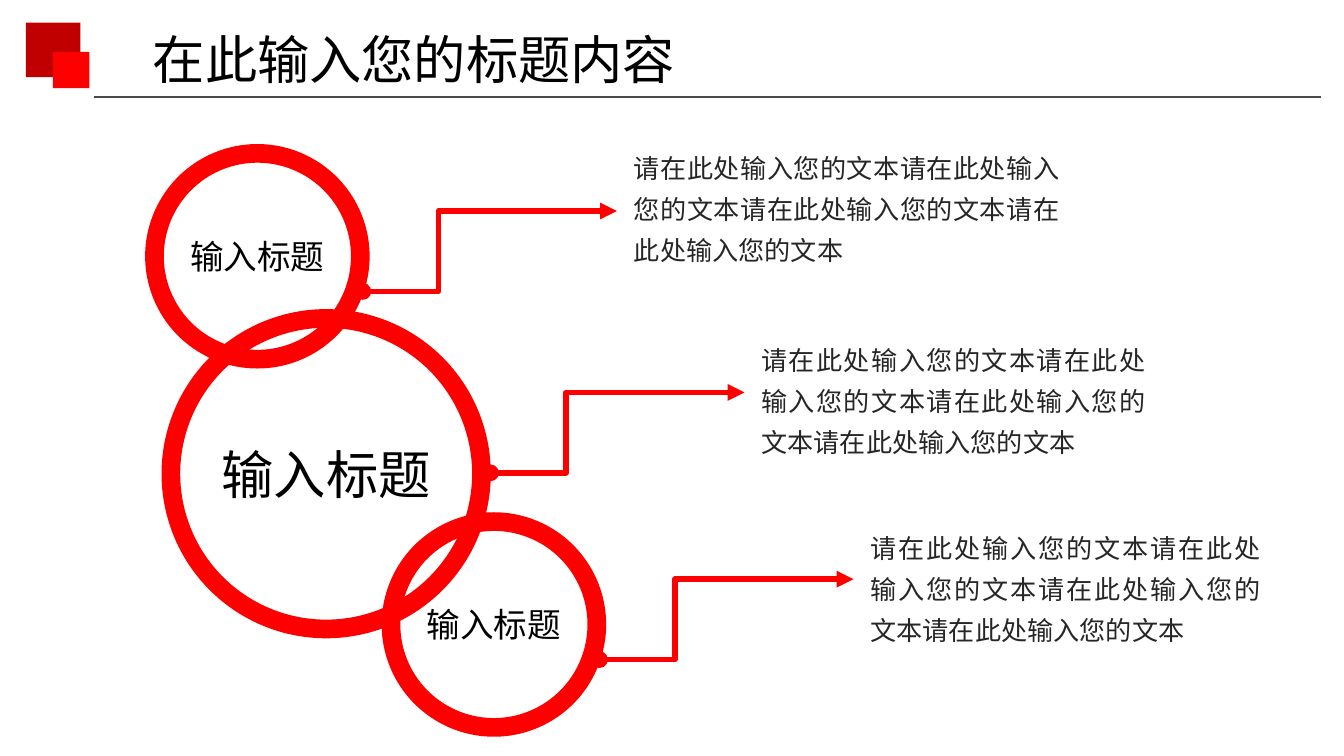
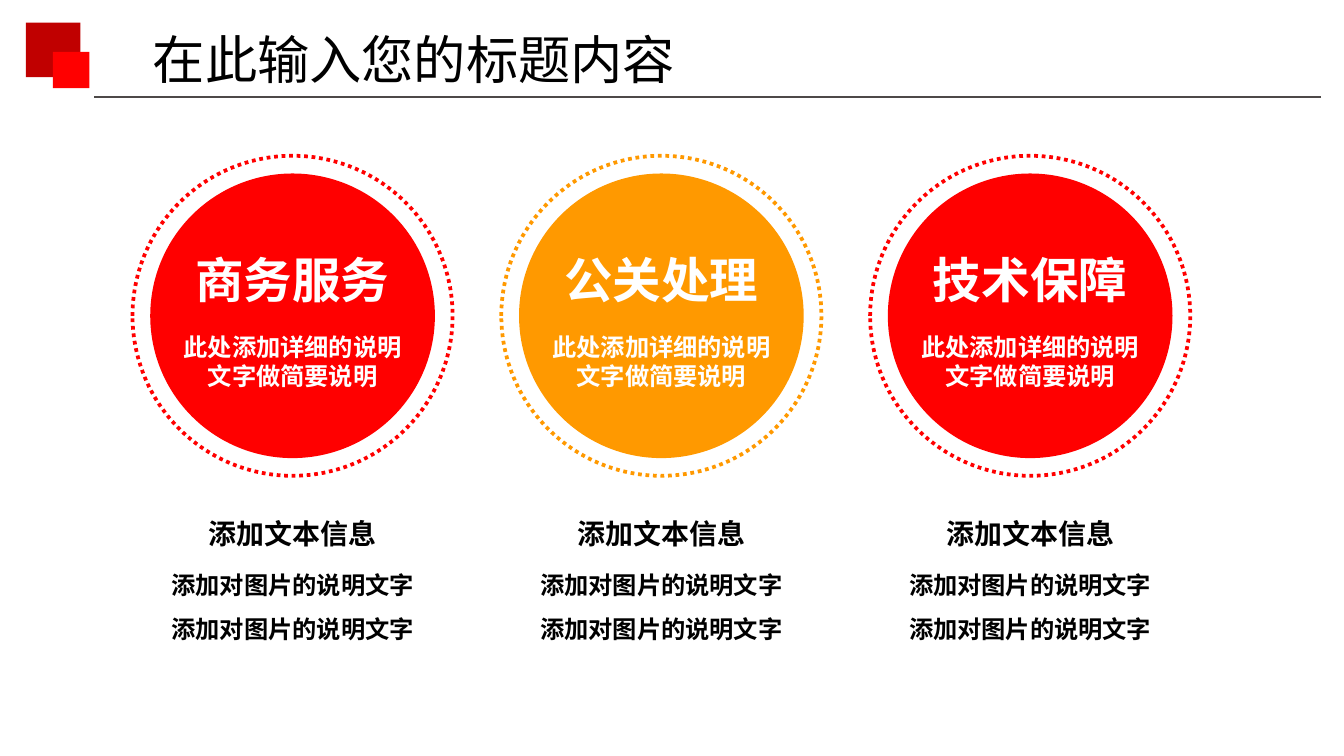
import pptx
import pptx.util
import pptx.dml.color
import pptx.enum.dml
import pptx.enum.shapes
import pptx.enum.text
import pptx.oxml.ns
import lxml.etree

Cm = pptx.util.Cm
Pt = pptx.util.Pt
RGBColor = pptx.dml.color.RGBColor
Shape = pptx.enum.shapes.MSO_SHAPE
Connector = pptx.enum.shapes.MSO_CONNECTOR
Align = pptx.enum.text.PP_ALIGN
Anchor = pptx.enum.text.MSO_ANCHOR
AutoSize = pptx.enum.text.MSO_AUTO_SIZE
qn = pptx.oxml.ns.qn

FONT = "Noto Sans CJK SC"
RED = RGBColor(0xFF, 0x00, 0x00)
DARK_RED = RGBColor(0xC0, 0x00, 0x00)
ORANGE = RGBColor(0xFF, 0x99, 0x00)
RULE_GRAY = RGBColor(0x4D, 0x49, 0x48)
TEXT_GRAY = RGBColor(0x26, 0x26, 0x26)
BLACK = RGBColor(0x00, 0x00, 0x00)
WHITE = RGBColor(0xFF, 0xFF, 0xFF)


def add_figure(page, kind, left, top, size, fill=None, line=None, width=1):
    """Add a square-framed shape with a plain fill or a plain outline."""
    figure = page.shapes.add_shape(kind, Cm(left), Cm(top), Cm(size), Cm(size))
    figure.shadow.inherit = False
    if fill is None:
        figure.fill.background()
    else:
        figure.fill.solid()
        figure.fill.fore_color.rgb = fill
    if line is None:
        figure.line.fill.background()
    else:
        figure.line.color.rgb = line
        figure.line.width = Pt(width)
    return figure


def write(box, lines, color, align, margins, bold=False, anchor=Anchor.TOP):
    """Fill a box with paragraphs given as (text, size, line spacing, space before)."""
    frame = box.text_frame
    frame.word_wrap = True
    frame.vertical_anchor = anchor
    frame.margin_left = frame.margin_right = Cm(margins[0])
    frame.margin_top = frame.margin_bottom = Cm(margins[1])
    frame.text = "\n".join(line[0] for line in lines)
    for paragraph, (text, size, spacing, before) in zip(frame.paragraphs, lines):
        paragraph.alignment = align
        paragraph.line_spacing = spacing
        paragraph.space_before = Pt(before)
        for span in paragraph.runs:
            span.font.name = FONT
            span.font.size = Pt(size)
            span.font.bold = bold
            span.font.color.rgb = color
            east_asian = lxml.etree.SubElement(span.font._element, qn("a:ea"))
            east_asian.set("typeface", FONT)


deck = pptx.Presentation()
deck.slide_width = Cm(25.4)
deck.slide_height = Cm(14.29)
circles_page, services_page = [
    deck.slides.add_slide(deck.slide_layouts[6]) for _ in range(2)
]

# Shared header: two squares, a rule and the title
for page in (circles_page, services_page):
    add_figure(page, Shape.RECTANGLE, 0.49, 0.43, 1.03, fill=DARK_RED)
    add_figure(page, Shape.RECTANGLE, 1, 0.98, 0.69, fill=RED)
    rule = page.shapes.add_connector(
        Connector.STRAIGHT, Cm(24.97), Cm(1.83), Cm(1.78), Cm(1.83)
    )
    rule.line.color.rgb = RULE_GRAY
    rule.line.width = Pt(0.75)
    lxml.etree.SubElement(rule._element.spPr, qn("a:effectLst"))
    title = page.shapes.add_textbox(Cm(2.64), Cm(0.38), Cm(10.77), Cm(1.45))
    write(title, [("在此输入您的标题内容", 28, 1, 0)], BLACK, Align.LEFT, (0.25, 0.13))
    title.text_frame.auto_size = AutoSize.SHAPE_TO_FIT_TEXT

# Linked circles: (left, top, size), label size, arrow start, description box
linked_circles = [
    ((2.92, 2.9, 3.89), 18, (6.86, 5.51), (11.71, 2.54, 8.59, 2.64)),
    ((3.23, 6.02, 5.87), 28, (9.27, 8.94), (14.12, 5.64, 7.8, 3.71)),
    ((7.39, 9.86, 3.89), 18, (11.33, 12.47), (16.18, 9.42, 7.92, 3.25)),
]
ARROW_RUN, ARROW_RISE = 4.8, 1.52
description = "请在此处输入您的文本" * 4

for circle, label_size, (start_x, start_y), area in linked_circles:
    ring = add_figure(circles_page, Shape.OVAL, *circle, line=RED, width=10)
    write(ring, [("输入标题", label_size, 1, 0)], BLACK, Align.CENTER, (0, 0),
          anchor=Anchor.MIDDLE)

    arrow = circles_page.shapes.add_connector(
        Connector.ELBOW, Cm(start_x), Cm(start_y),
        Cm(start_x + ARROW_RUN), Cm(start_y - ARROW_RISE)
    )
    arrow.line.color.rgb = RED
    arrow.line.width = Pt(3)
    properties = arrow._element.spPr
    bend = lxml.etree.SubElement(properties.find(".//" + qn("a:avLst")), qn("a:gd"))
    bend.set("name", "adj1")
    bend.set("fmla", "val 29700")
    outline = properties.find(qn("a:ln"))
    for end, style in (("a:headEnd", "oval"), ("a:tailEnd", "triangle")):
        lxml.etree.SubElement(outline, qn(end)).set("type", style)
    lxml.etree.SubElement(properties, qn("a:effectLst"))

    note = circles_page.shapes.add_textbox(*[Cm(length) for length in area])
    write(note, [(description, 14, 1.3, 0)], TEXT_GRAY, Align.JUSTIFY, (0.27, 0.15),
          anchor=Anchor.MIDDLE)

# Three service discs, evenly spaced, each with a dotted ring and a caption
FIRST_CENTER, CENTER_Y, PITCH = 5.53, 5.97, 6.97
DISC, RING = 5.38, 6.05
services = [("商务服务", RED), ("公关处理", ORANGE), ("技术保障", RED)]

for column, (service, color) in enumerate(services):
    center = FIRST_CENTER + column * PITCH
    add_figure(services_page, Shape.OVAL, center - DISC / 2, CENTER_Y - DISC / 2,
               DISC, fill=color)
    dotted = add_figure(services_page, Shape.OVAL, center - RING / 2,
                        CENTER_Y - RING / 2, RING, line=color, width=2)
    dotted.line.dash_style = pptx.enum.dml.MSO_LINE.ROUND_DOT

    summary = [(service, 26, 1, 0), ("此处添加详细的说明文字做简要说明", 13, 1, 12.9)]
    caption = [("添加文本信息", 15, 1, 0), ("添加对图片的说明文字" * 2, 13, 1.5, 3.2)]
    for lines, text_color, top, width, height in (
        (summary, WHITE, 4.6, 4.7, 2.95),
        (caption, BLACK, 9.63, 5.44, 3.12),
    ):
        box = services_page.shapes.add_textbox(
            Cm(center - width / 2), Cm(top), Cm(width), Cm(height)
        )
        write(box, lines, text_color, Align.CENTER, (0.27, 0.13), bold=True)

deck.save("out.pptx")
